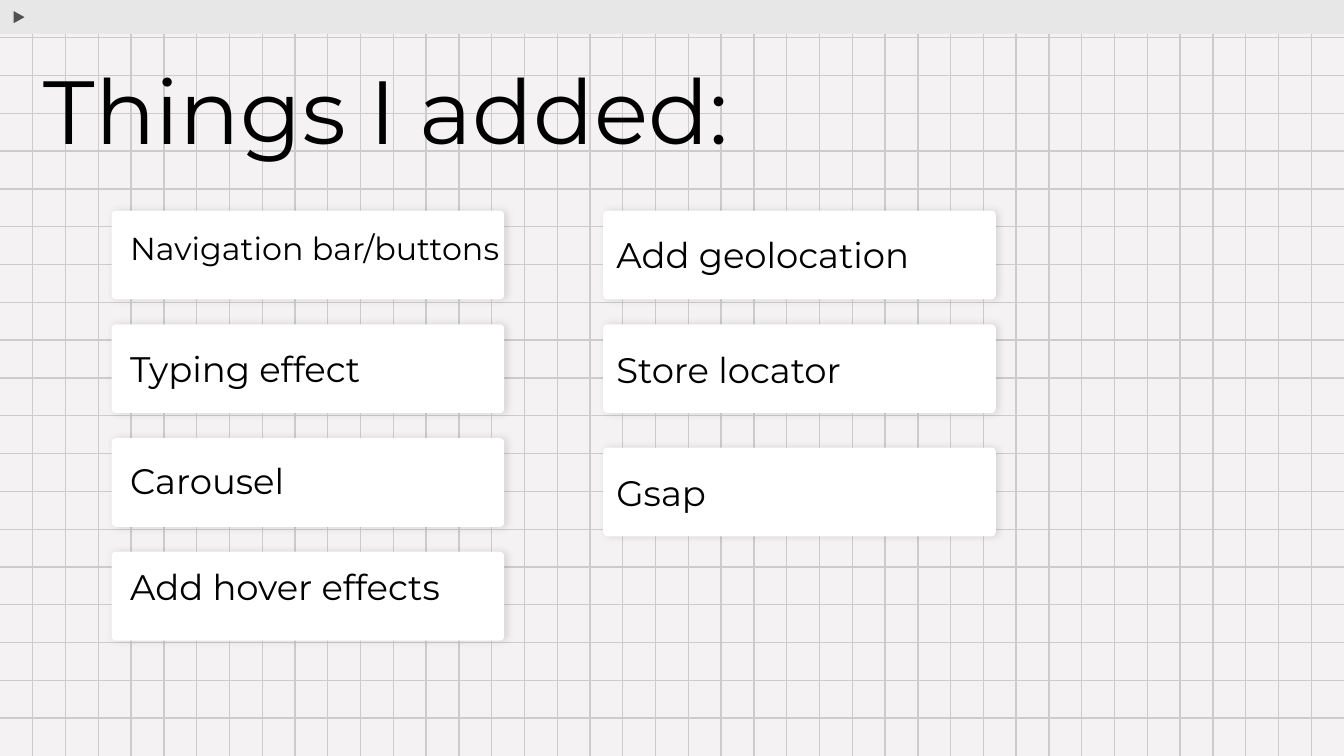
from dataclasses import dataclass

from lxml.etree import SubElement
from pptx import Presentation
from pptx.dml.color import RGBColor
from pptx.enum.shapes import MSO_CONNECTOR as Connector, MSO_SHAPE as Shape
from pptx.enum.text import MSO_ANCHOR as Anchor, PP_ALIGN as Align
from pptx.oxml.ns import qn
from pptx.util import Cm, Pt

COLORS = {
    "page": "F4F2F2",
    "grid": "CCCCCC",
    "bar": "E7E7E7",
    "marker": "4F4F4F",
    "card": "FFFFFF",
    "ink": "000000",
}
FONT = "Montserrat"
PAGE_WIDTH, PAGE_HEIGHT = 25.4, 14.29
GRID_COLUMNS, GRID_ROWS = 41, 20
CARD_WIDTH, CARD_HEIGHT = 7.42, 1.68
CARD_PITCH = 2.15


@dataclass
class Card:
    label: str
    text_drop: float  # from the card's top to the text box
    size: int = 19
    text_width: float = 7.06
    text_height: float = 1.32
    drop: float = 0  # shift below the regular row


LEFT_CARDS = [
    Card("Navigation bar/buttons", 0.1, size=17, text_width=8.53, text_height=1.24),
    Card("Typing effect", 0.18),
    Card("Carousel", 0.15),
    Card("Add hover effects", 0),
]
RIGHT_CARDS = [
    Card("Add geolocation", 0.17, text_width=6.27),
    Card("Store locator", 0.2, text_width=6.27),
    Card("Gsap", 0.2, text_width=6.27, text_height=2.13, drop=0.18),
]


def color(name):
    return RGBColor.from_string(COLORS[name])


def add_line(page, x1, y1, x2, y2):
    line = page.shapes.add_connector(
        Connector.STRAIGHT, Cm(x1), Cm(y1), Cm(x2), Cm(y2))
    line.line.color.rgb = color("grid")
    line.line.width = Pt(0.75)
    SubElement(line._element.spPr, qn("a:effectLst"))


def add_block(page, kind, left, top, width, height, fill):
    block = page.shapes.add_shape(kind, Cm(left), Cm(top), Cm(width), Cm(height))
    block.shadow.inherit = False
    block.fill.solid()
    block.fill.fore_color.rgb = color(fill)
    block.line.fill.background()
    return block


def add_text(page, text, left, top, width, height, size, spacing=None):
    box = page.shapes.add_textbox(Cm(left), Cm(top), Cm(width), Cm(height))
    frame = box.text_frame
    frame.word_wrap = True
    frame.vertical_anchor = Anchor.TOP
    frame.margin_left = frame.margin_right = Cm(0.25)
    frame.margin_top = frame.margin_bottom = Cm(0.25)
    para = frame.paragraphs[0]
    para.text = text
    para.alignment = Align.LEFT
    para.line_spacing = spacing
    para.font.name = FONT
    para.font.size = Pt(size)
    para.font.color.rgb = color("ink")


def add_soft_shadow(block):
    effects = block._element.spPr.find(qn("a:effectLst"))
    shadow = SubElement(effects, qn("a:outerShdw"), blurRad=str(Pt(4.5)),
                        dist=str(Pt(1.5)), dir="0", algn="bl", rotWithShape="0")
    tint = SubElement(shadow, qn("a:srgbClr"), val=COLORS["ink"])
    SubElement(tint, qn("a:alpha"), val="12000")


def draw_grid(page, left, top, width, height):
    for row in range(1, GRID_ROWS):
        y = top + height * row / GRID_ROWS
        add_line(page, left, y, left + width, y)
    for column in range(1, GRID_COLUMNS):
        x = left + width * column / GRID_COLUMNS
        add_line(page, x, top, x, top + height)


def draw_top_bar(page, left, top, width, height):
    add_block(page, Shape.RECTANGLE, left, top, width, height, "bar")
    marker = add_block(page, Shape.ISOSCELES_TRIANGLE,
                       left + 0.23, top + 0.2, 0.28, 0.25, "marker")
    marker.rotation = 90
    marker.line.color.rgb = color("bar")
    marker.line.width = Pt(0.75)


def draw_card_column(page, left, top, cards, indent):
    for row, card in enumerate(cards):
        y = top + row * CARD_PITCH + card.drop
        block = add_block(page, Shape.ROUNDED_RECTANGLE,
                          left, y, CARD_WIDTH, CARD_HEIGHT, "card")
        block.adjustments[0] = 0.05
        add_soft_shadow(block)
        add_text(page, card.label, left + indent, y + card.text_drop,
                 card.text_width, card.text_height, card.size)


def main():
    deck = Presentation()
    deck.slide_width, deck.slide_height = Cm(PAGE_WIDTH), Cm(PAGE_HEIGHT)
    page = deck.slides.add_slide(deck.slide_layouts[6])
    page.background.fill.solid()
    page.background.fill.fore_color.rgb = color("page")

    # Backdrop
    draw_grid(page, 0, 0, PAGE_WIDTH, PAGE_HEIGHT)
    draw_top_bar(page, 0, 0, PAGE_WIDTH, 0.64)

    # Title and the two columns of features
    add_text(page, "Things I added:", 0.58, 1.02, 13.94, 2.36, 48, spacing=0.9)
    draw_card_column(page, 2.11, 3.98, LEFT_CARDS, indent=0.1)
    draw_card_column(page, 11.4, 3.98, RIGHT_CARDS, indent=0)

    deck.save("out.pptx")


if __name__ == "__main__":
    main()
